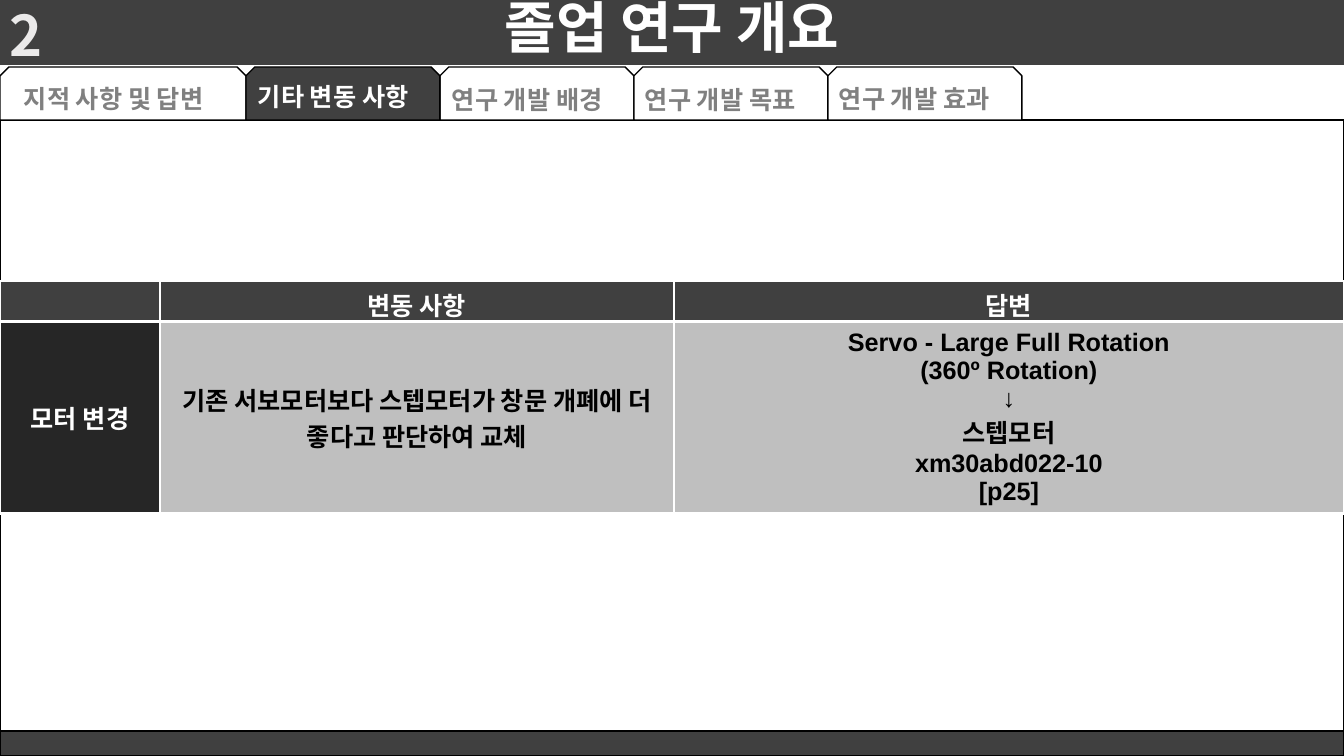
from dataclasses import dataclass

from lxml import etree
from pptx import Presentation
from pptx.dml.color import RGBColor
from pptx.enum import shapes, text
from pptx.oxml import ns
from pptx.util import Pt

EMU_PER_PX = 914400 / 100.8
WIDTH, HEIGHT = 1344, 756
KOREAN, LATIN = "Noto Sans CJK KR", "Arial"
WHITE, BLACK, DARK, DARKER = "FFFFFF", "000000", "404040", "262626"
SILVER, GRAY, PALE = "BFBFBF", "808080", "EBEAEA"
CENTER, LEFT = text.PP_ALIGN.CENTER, text.PP_ALIGN.LEFT


@dataclass
class Tab:
    label: str
    width: int
    text_indent: int
    text_top: int
    active: bool = False


@dataclass
class Cell:
    lines: tuple[str, ...]
    fill: str
    color: str = WHITE
    font: str = KOREAN


TABS = [
    Tab("지적 사항 및 답변", 246, 14, 78),
    Tab("기타 변동 사항", 194, 2, 76, active=True),
    Tab("연구 개발 배경", 194, 2, 79),
    Tab("연구 개발 목표", 194, 1, 79),
    Tab("연구 개발 효과", 194, 1, 78),
]
COLUMN_WIDTHS = [160, 514, 670]
ROW_HEIGHTS = [40, 192]
ROWS = [
    [Cell((), DARK), Cell(("변동 사항",), DARK), Cell(("답변",), DARK)],
    [
        Cell(("모터 변경",), DARKER),
        Cell(("기존 서보모터보다 스텝모터가 창문 개폐에 더 좋다고 판단하여 교체",), SILVER, BLACK),
        Cell(("Servo - Large Full Rotation", "(360º Rotation)", "↓", "스텝모터",
              "xm30abd022-10", "[p25]"), SILVER, BLACK, LATIN),
    ],
]


def px(value: int) -> int:
    return round(value * EMU_PER_PX)


def box(left: int, top: int, width: int, height: int) -> tuple[int, ...]:
    return px(left), px(top), px(width), px(height)


def rgb(color: str) -> RGBColor:
    return RGBColor.from_string(color)


def write(p, words: str, size: int, color: str, align, font: str = KOREAN) -> None:
    p.text = words
    p.alignment = align
    p.font.size = Pt(size)
    p.font.bold = True
    p.font.color.rgb = rgb(color)
    p.font.name = font
    etree.SubElement(p.font._element, ns.qn("a:ea"), typeface=KOREAN)


def add_panel(slide, kind, area: tuple[int, ...], fill: str, outlined: bool = True):
    sp = slide.shapes.add_shape(kind, *box(*area))
    sp.shadow.inherit = False
    sp.fill.solid()
    sp.fill.fore_color.rgb = rgb(fill)
    if outlined:
        sp.line.color.rgb = rgb(BLACK)
        sp.line.width = Pt(1)
    else:
        sp.line.fill.background()
    return sp


def add_label(slide, area: tuple[int, ...], words: str, size: int, color: str, align):
    tf = slide.shapes.add_textbox(*box(*area)).text_frame
    tf.word_wrap = False
    tf.auto_size = text.MSO_AUTO_SIZE.SHAPE_TO_FIT_TEXT
    write(tf.paragraphs[0], words, size, color, align)
    return tf.paragraphs[0]


def add_line(parent, tag: str, points: int, color: str):
    ln = etree.SubElement(parent, ns.qn(tag), w=str(Pt(points)))
    fill = etree.SubElement(ln, ns.qn("a:solidFill"))
    etree.SubElement(fill, ns.qn("a:srgbClr"), val=color)
    return ln


def add_tab(slide, tab: Tab, left: int) -> None:
    sp = add_panel(slide, shapes.MSO_SHAPE.SNIP_2_SAME_RECTANGLE,
                   (left, 67, tab.width, 53), DARK if tab.active else WHITE)
    sp.adjustments[0], sp.adjustments[1] = 0.167, 0
    add_label(slide, (left + tab.text_indent, tab.text_top, tab.width - 4, 40),
              tab.label, 18, WHITE if tab.active else GRAY, LEFT)


def fill_cell(tc, cell: Cell, top_border: int) -> None:
    # Borders come before the fill in the cell properties
    props = tc._tc.get_or_add_tcPr()
    for tag, points in (("a:lnL", 1), ("a:lnR", 1), ("a:lnT", top_border), ("a:lnB", 3)):
        add_line(props, tag, points, WHITE)
    tc.fill.solid()
    tc.fill.fore_color.rgb = rgb(cell.fill)
    tc.vertical_anchor = text.MSO_ANCHOR.MIDDLE
    tf = tc.text_frame
    for i, words in enumerate(cell.lines):
        p = tf.add_paragraph() if i else tf.paragraphs[0]
        write(p, words, 18, cell.color, CENTER, cell.font)


def add_changes_table(slide) -> None:
    area = box(0, 281, sum(COLUMN_WIDTHS), sum(ROW_HEIGHTS))
    table = slide.shapes.add_table(len(ROWS), len(COLUMN_WIDTHS), *area).table
    for column, width in zip(table.columns, COLUMN_WIDTHS):
        column.width = px(width)
    for r, (height, cells) in enumerate(zip(ROW_HEIGHTS, ROWS)):
        table.rows[r].height = px(height)
        for c, cell in enumerate(cells):
            fill_cell(table.cell(r, c), cell, 3 if r else 1)


def main() -> None:
    prs = Presentation()
    prs.slide_width, prs.slide_height = px(WIDTH), px(HEIGHT)
    slide = prs.slides.add_slide(prs.slide_layouts[5])
    rectangle = shapes.MSO_SHAPE.RECTANGLE

    # Content frame, header bar and title
    header = (0, -4, WIDTH, 69)
    add_panel(slide, rectangle, (0, 120, WIDTH, 612), WHITE)
    bar = add_panel(slide, rectangle, header, DARK, outlined=False)
    title = slide.shapes.title
    title.left, title.top, title.width, title.height = box(*header)
    tf = title.text_frame
    tf.auto_size = text.MSO_AUTO_SIZE.NONE
    tf.vertical_anchor = text.MSO_ANCHOR.MIDDLE
    write(tf.paragraphs[0], "졸업 연구 개요", 40, WHITE, CENTER)
    tf.paragraphs[0].line_spacing = 0.9
    bar._element.addnext(title._element)

    # Footer bar and section number
    add_panel(slide, rectangle, (0, 731, WIDTH, 25), DARK)
    number = add_label(slide, (0, -4, 53, 77), "2", 40, PALE, CENTER)
    props = number.runs[0].font._element
    props.set("spc", "10")
    add_line(props, "a:ln", 1, BLACK)

    add_changes_table(slide)

    # Tabs, with the active one in front
    placed = [(tab, sum(t.width for t in TABS[:i])) for i, tab in enumerate(TABS)]
    for tab, left in sorted(placed, key=lambda item: item[0].active):
        add_tab(slide, tab, left)

    prs.save("out.pptx")


if __name__ == "__main__":
    main()
